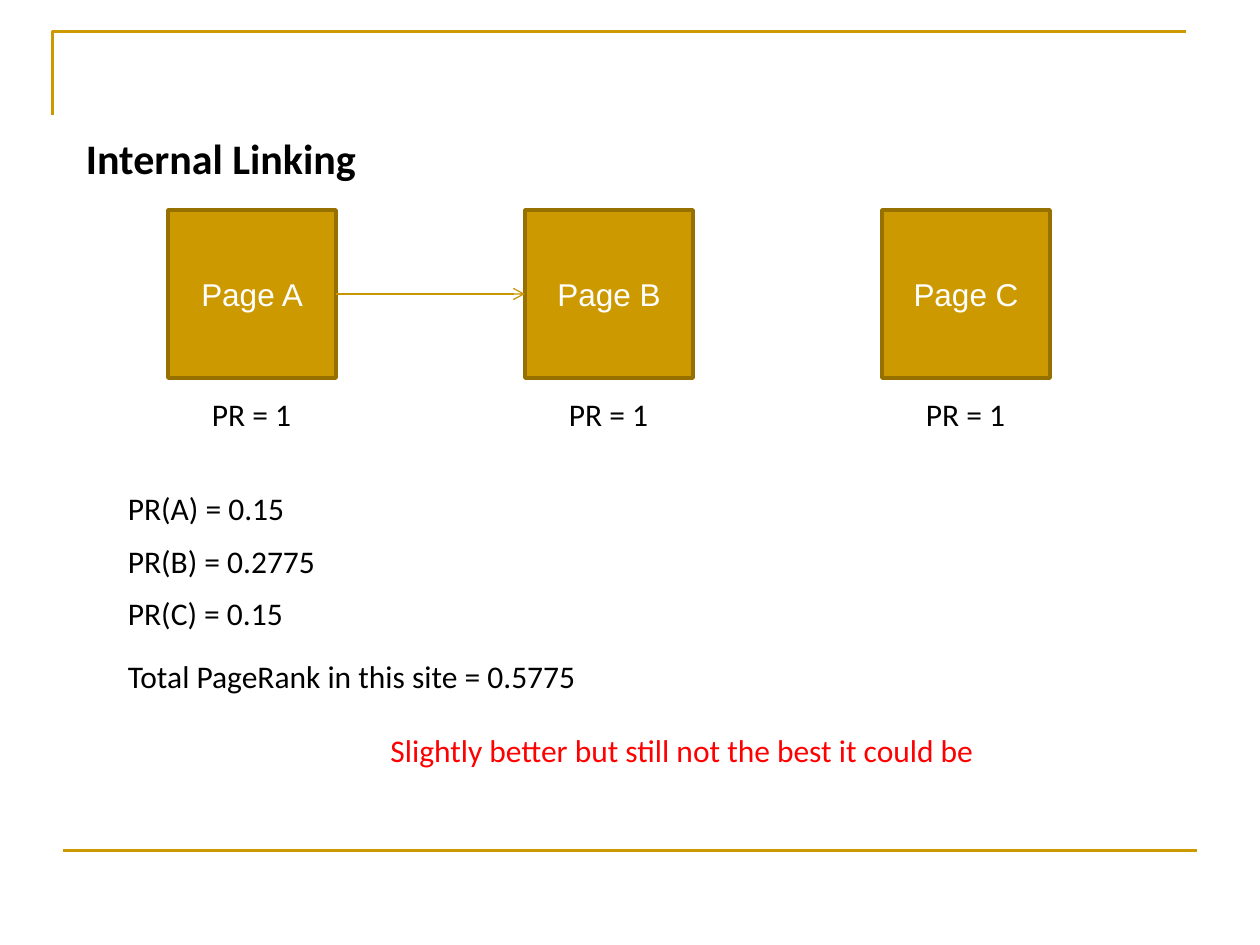
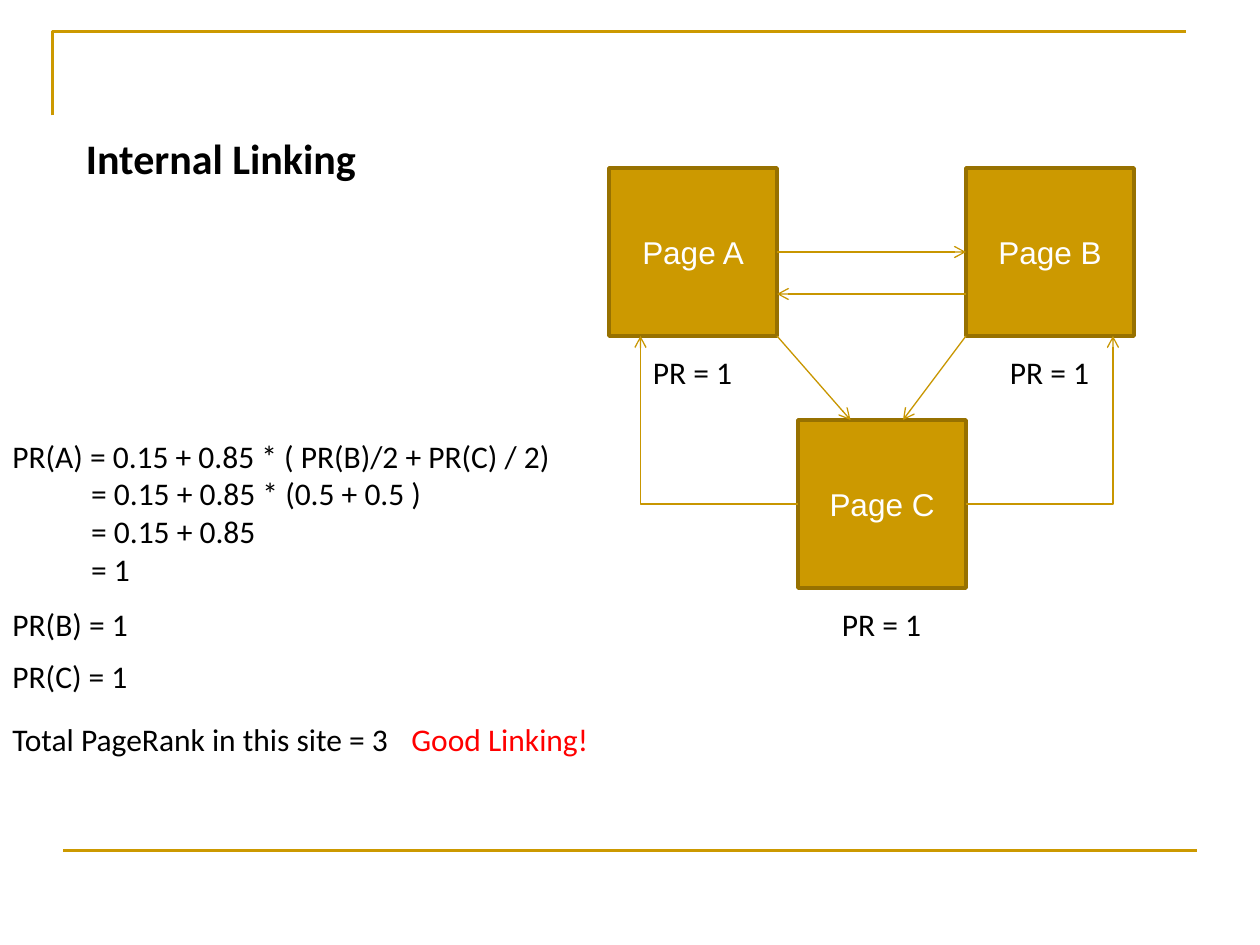
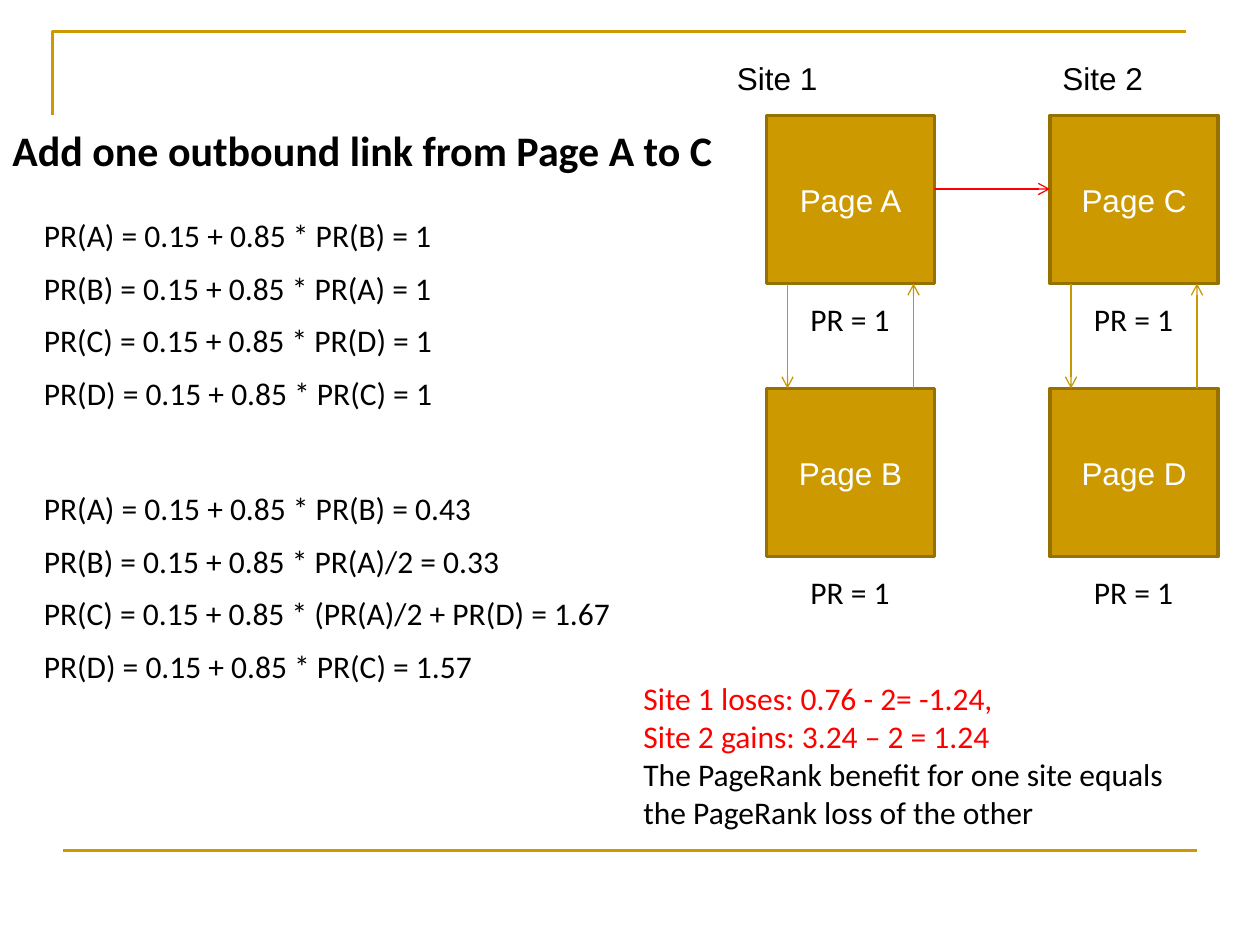
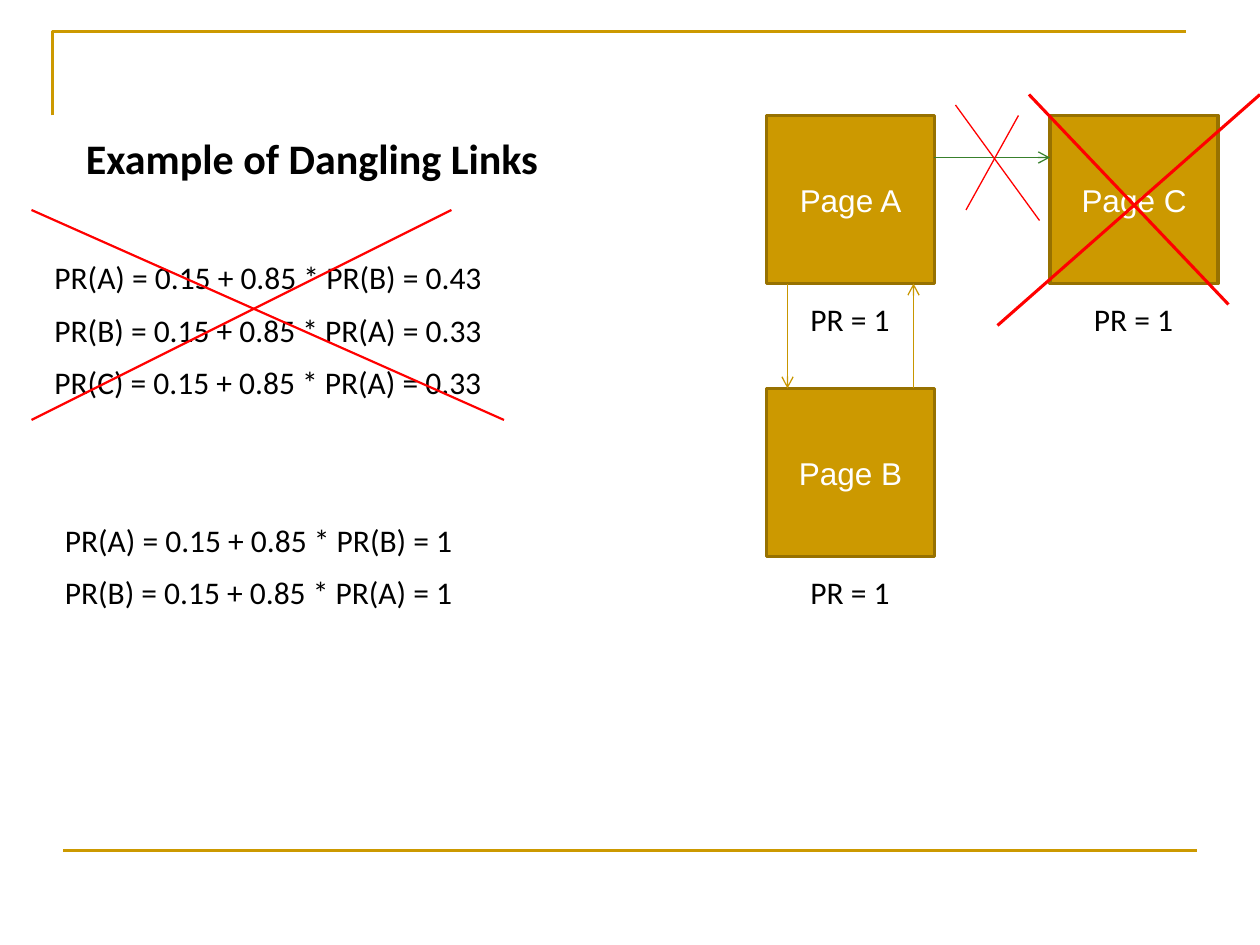
from pptx import Presentation
from pptx.dml.color import RGBColor
from pptx.enum.shapes import MSO_CONNECTOR as Connector, MSO_SHAPE as Shape
from pptx.enum.text import MSO_ANCHOR as Anchor, MSO_AUTO_SIZE as AutoSize, PP_ALIGN as Align
from pptx.oxml.ns import qn
from pptx.oxml.xmlchemy import OxmlElement
from pptx.util import Emu, Pt

PX = 7620
GOLD = "CC9900"
DARK_GOLD = "977100"
LINK_GOLD = "C89600"
RED = "FF0000"
GREEN = "38802C"
BLACK = "000000"
WHITE = "FFFFFF"
BODY_FONT = "Calibri"
PAGE_FONT = "Arial"
PAGE_SIZE = 160
ROW_PITCH = 50


def px(value):
    return Emu(value * PX)


def rgb(color):
    return RGBColor.from_string(color)


def style_font(paragraph, color, name=BODY_FONT, size=18, bold=False):
    font = paragraph.font
    font.name, font.size, font.bold = name, Pt(size), bold
    font.color.rgb = rgb(color)


def add_text(slide, left, top, width, lines, height=48, wrap=False, **style):
    box = slide.shapes.add_textbox(px(left), px(top), px(width), px(height))
    frame = box.text_frame
    frame.word_wrap = wrap
    frame.auto_size = AutoSize.SHAPE_TO_FIT_TEXT
    frame.text = "\n".join(lines)
    for paragraph in frame.paragraphs:
        style_font(paragraph, **{"color": BLACK, **style})
    return frame


def add_title(slide, text, width, left=70, top=120):
    add_text(slide, left, top, width, [text], height=61, size=24, bold=True)


def add_rows(slide, left, top, rows):
    for index, (text, width) in enumerate(rows):
        add_text(slide, left, top + index * ROW_PITCH, width, [text])


def add_line(slide, start, end, color=LINK_GOLD, weight=0.75, arrow=False, elbow=False):
    kind = Connector.ELBOW if elbow else Connector.STRAIGHT
    line = slide.shapes.add_connector(kind, *map(px, start + end))
    line.line.color.rgb = rgb(color)
    line.line.width = Pt(weight)
    properties = line._element.spPr
    if elbow:
        properties.find(qn("a:prstGeom")).set("prst", "bentConnector2")
    if arrow:
        tail = OxmlElement("a:tailEnd")
        tail.set("type", "arrow")
        line.line._get_or_add_ln().append(tail)
    properties.append(OxmlElement("a:effectLst"))


def add_link(slide, start, end, color=LINK_GOLD, elbow=False):
    add_line(slide, start, end, color, arrow=True, elbow=elbow)


def add_cross(slide, strokes, weight):
    for start, end in strokes:
        add_line(slide, start, end, RED, weight)


def add_page(slide, letter, left, top):
    square = slide.shapes.add_shape(
        Shape.RECTANGLE, px(left), px(top), px(PAGE_SIZE), px(PAGE_SIZE))
    square.shadow.inherit = False
    square.fill.solid()
    square.fill.fore_color.rgb = rgb(GOLD)
    square.line.color.rgb = rgb(DARK_GOLD)
    square.line.width = Pt(2)
    frame = square.text_frame
    frame.text = f"Page {letter}"
    frame.vertical_anchor = Anchor.MIDDLE
    paragraph = frame.paragraphs[0]
    paragraph.alignment = Align.CENTER
    style_font(paragraph, WHITE, PAGE_FONT)
    add_text(slide, left + 30, top + 170, 101, ["PR = 1"])


def add_mutual_links(slide, left):
    add_link(slide, (left + 20, 270), (left + 20, 370))
    add_link(slide, (left + 140, 370), (left + 140, 270))


def add_framed_slide(presentation):
    slide = presentation.slides.add_slide(presentation.slide_layouts[6])
    builder = slide.shapes.build_freeform(50, 110, scale=PX)
    builder.add_line_segments([(50, 30), (1130, 30)], close=False)
    corner = builder.convert_to_shape()
    corner.shadow.inherit = False
    corner.fill.background()
    corner.line.color.rgb = rgb(GOLD)
    corner.line.width = Pt(1.5)
    add_line(slide, (60, 810), (1140, 810), GOLD, 1.5)
    return slide


def build_single_link(presentation):
    slide = add_framed_slide(presentation)
    add_title(slide, "Internal Linking", 283)
    for index, letter in enumerate("ABC"):
        add_page(slide, letter, 160 + index * 340, 200)
    add_link(slide, (320, 280), (500, 280))
    add_rows(slide, 110, 460, [
        ("PR(A) = 0.15", 175),
        ("PR(B) = 0.2775", 211),
        ("PR(C) = 0.15", 174),
    ])
    add_text(slide, 110, 620, 455, ["Total PageRank in this site = 0.5775"])
    add_text(slide, 360, 690, 587,
             ["Slightly better but still not the best it could be"], color=RED)


def build_full_linking(presentation):
    slide = add_framed_slide(presentation)
    add_title(slide, "Internal Linking", 283)
    for letter, left, top in (("A", 580, 160), ("B", 920, 160), ("C", 760, 400)):
        add_page(slide, letter, left, top)
    derivation = add_text(slide, 0, 410, 542, [
        "PR(A) = 0.15 + 0.85 * ( PR(B)/2 + PR(C) / 2)",
        "= 0.15 + 0.85 * (0.5 + 0.5 )",
        "= 0.15 + 0.85",
        "= 1",
    ], height=157)
    for paragraph in derivation.paragraphs[1:]:
        paragraph._p.get_or_add_pPr().set("marL", str(px(75)))
    add_rows(slide, 0, 570, [("PR(B) = 1", 143), ("PR(C) = 1", 136)])
    add_text(slide, 0, 680, 386, ["Total PageRank in this site = 3"])
    add_text(slide, 380, 680, 194, ["Good Linking!"], color=RED)
    for start, end in (
        ((740, 240), (920, 240)),
        ((920, 280), (740, 280)),
        ((740, 320), (810, 400)),
        ((920, 320), (860, 400)),
    ):
        add_link(slide, start, end)
    add_link(slide, (760, 480), (610, 320), elbow=True)
    add_link(slide, (920, 480), (1060, 320), elbow=True)


def build_outbound_link(presentation):
    slide = add_framed_slide(presentation)
    add_title(slide, "Add one outbound link from Page A to C", 697, 0, 113)
    for site, label_left, left, letters in (
        ("Site 1", 690, 730, "AB"), ("Site 2", 1000, 1000, "CD"),
    ):
        add_text(slide, label_left, 50, 102, [site], name=PAGE_FONT)
        for index, letter in enumerate(letters):
            add_page(slide, letter, left, 110 + index * 260)
        add_mutual_links(slide, left)
    add_link(slide, (890, 180), (1000, 180), RED)
    add_rows(slide, 30, 200, [
        ("PR(A) = 0.15 + 0.85 * PR(B) = 1", 404),
        ("PR(B) = 0.15 + 0.85 * PR(A) = 1", 398),
        ("PR(C) = 0.15 + 0.85 * PR(D) = 1", 398),
        ("PR(D) = 0.15 + 0.85 * PR(C) = 1", 407),
    ])
    add_rows(slide, 30, 460, [
        ("PR(A) = 0.15 + 0.85 * PR(B) = 0.43", 443),
        ("PR(B) = 0.15 + 0.85 * PR(A)/2 = 0.33", 463),
        ("PR(C) = 0.15 + 0.85 * (PR(A)/2 + PR(D) = 1.67", 571),
        ("PR(D) = 0.15 + 0.85 * PR(C) = 1.57", 437),
    ])
    summary = add_text(slide, 601, 641, 540, [
        "Site 1 loses: 0.76 - 2= -1.24,",
        "Site 2 gains: 3.24 – 2 = 1.24",
        "The PageRank benefit for one site equals the PageRank loss of the other",
    ], height=157, wrap=True, color=RED)
    style_font(summary.paragraphs[2], BLACK)


def build_dangling_links(presentation):
    slide = add_framed_slide(presentation)
    add_title(slide, "Example of Dangling Links", 458)
    for letter, left, top in (("A", 730, 110), ("B", 730, 370), ("C", 1000, 110)):
        add_page(slide, letter, left, top)
    add_mutual_links(slide, 730)
    add_link(slide, (890, 150), (1000, 150), GREEN)
    add_rows(slide, 40, 240, [
        ("PR(A) = 0.15 + 0.85 * PR(B) = 0.43", 436),
        ("PR(B) = 0.15 + 0.85 * PR(A) = 0.33", 436),
        ("PR(C) = 0.15 + 0.85 * PR(A) = 0.33", 436),
    ])
    add_rows(slide, 50, 490, [
        ("PR(A) = 0.15 + 0.85 * PR(B) = 1", 398),
        ("PR(B) = 0.15 + 0.85 * PR(A) = 1", 398),
    ])
    add_cross(slide, [((980, 90), (1170, 290)), ((1200, 90), (950, 310))], 1.75)
    add_cross(slide, [((910, 100), (990, 210)), ((920, 200), (970, 110))], 0.75)
    add_cross(slide, [((30, 200), (480, 400)), ((30, 400), (430, 200))], 1.25)


def main():
    presentation = Presentation()
    presentation.slide_width = px(1200)
    presentation.slide_height = px(900)
    build_single_link(presentation)
    build_full_linking(presentation)
    build_outbound_link(presentation)
    build_dangling_links(presentation)
    presentation.save("out.pptx")


if __name__ == "__main__":
    main()
